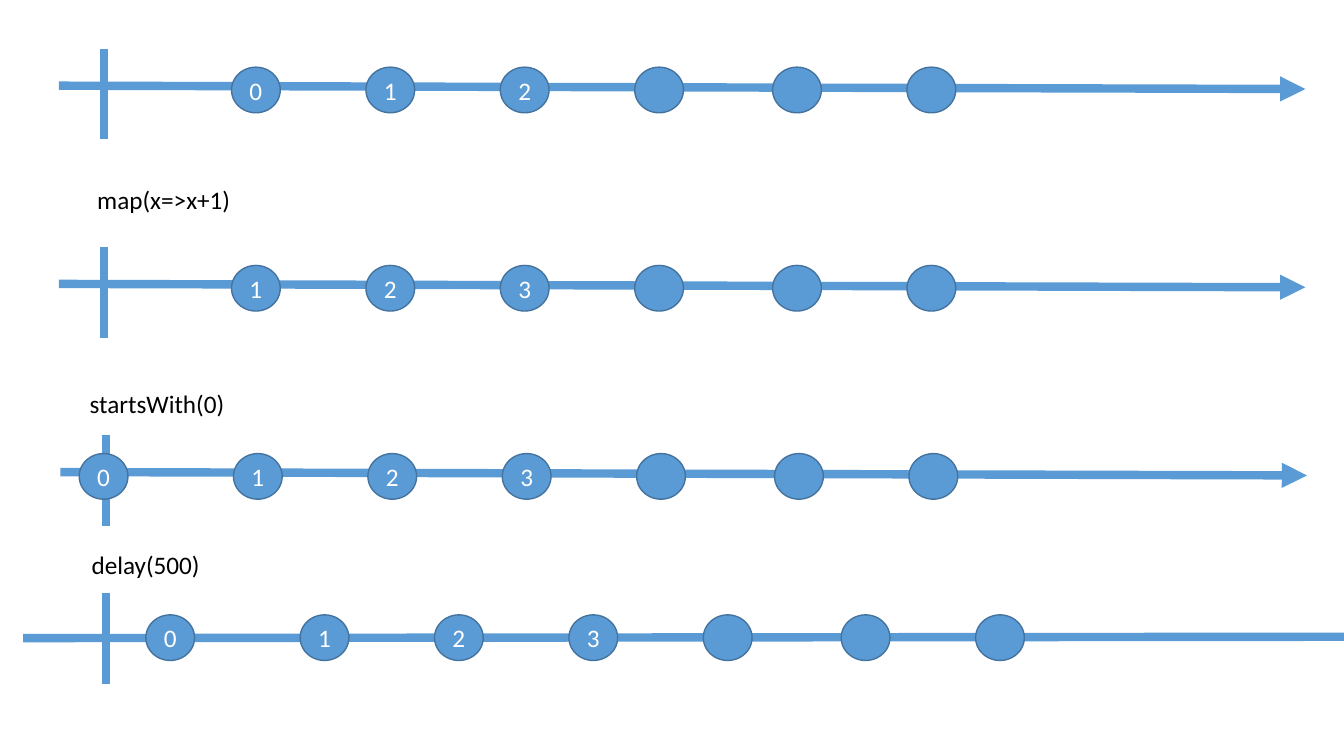
from dataclasses import dataclass

from lxml.etree import SubElement
from pptx import Presentation
from pptx.dml.color import RGBColor
from pptx.enum.shapes import MSO_CONNECTOR, MSO_SHAPE
from pptx.enum.text import MSO_ANCHOR, MSO_AUTO_SIZE, PP_ALIGN
from pptx.oxml.ns import qn
from pptx.shapes.connector import Connector
from pptx.slide import Slide
from pptx.text.text import TextFrame
from pptx.util import Pt


@dataclass(frozen=True)
class Theme:
    blue: RGBColor = RGBColor(0x5B, 0x9B, 0xD5)
    outline: RGBColor = RGBColor(0x43, 0x73, 0x9E)
    white: RGBColor = RGBColor(0xFF, 0xFF, 0xFF)
    black: RGBColor = RGBColor(0x00, 0x00, 0x00)
    font: str = "Calibri"
    text_size: float = 18
    axis_width: float = 6
    outline_width: float = 1


@dataclass(frozen=True)
class Operator:
    text: str
    left: float
    top: float
    width: float


@dataclass(frozen=True)
class Timeline:
    axis_start: tuple[float, float]
    axis_end: tuple[float, float]
    tick_x: float
    tick_top: float
    first_marble: float
    marble_top: float
    values: tuple[str, ...]
    operator: Operator | None = None
    initial_value: str = ""


THEME = Theme()
TICK_HEIGHT = 64.8
MARBLE_WIDTH, MARBLE_HEIGHT = 34.8, 32.6
LABEL_HEIGHT = 29
# Marble offsets from the first regular marble of a timeline
MARBLE_OFFSETS = (0, 96, 192, 288, 386.5, 482.5)
INITIAL_OFFSET = -110.2

TIMELINES = (
    Timeline((42, 61.2), (932.4, 63.6), 74.2, 34.8, 165.4, 48, ("0", "1", "2")),
    Timeline((42, 202.8), (932.4, 205.2), 74.2, 176.4, 165.4, 189.6, ("1", "2", "3"),
             Operator("map(x=>x+1)", 62.4, 128.4, 110.9)),
    Timeline((43.2, 337.2), (933.6, 339.6), 75.6, 310.8, 166.8, 324, ("1", "2", "3"),
             Operator("startsWith(0)", 56.9, 273.9, 111.6), "0"),
    Timeline((16.6, 455.8), (981.4, 454.8), 75.6, 423.6, 214.4, 439.2, ("1", "2", "3"),
             Operator("delay(500)", 58.3, 388.8, 92.9), "0"),
)


def write_text(frame: TextFrame, text: str, color: RGBColor, alignment: PP_ALIGN) -> None:
    paragraph = frame.paragraphs[0]
    paragraph.text = text
    paragraph.alignment = alignment
    paragraph.font.name = THEME.font
    paragraph.font.size = Pt(THEME.text_size)
    paragraph.font.color.rgb = color


def add_line(slide: Slide, start: tuple[float, float], end: tuple[float, float]) -> Connector:
    line = slide.shapes.add_connector(
        MSO_CONNECTOR.STRAIGHT, *(Pt(value) for value in (*start, *end)))
    line.line.color.rgb = THEME.blue
    line.line.width = Pt(THEME.axis_width)
    SubElement(line._element.spPr, qn("a:effectLst"))
    return line


def add_arrow(slide: Slide, start: tuple[float, float], end: tuple[float, float]) -> None:
    arrow = add_line(slide, start, end)
    SubElement(arrow.line._get_or_add_ln(), qn("a:tailEnd"), type="triangle")


def add_marble(slide: Slide, left: float, top: float, value: str) -> None:
    marble = slide.shapes.add_shape(
        MSO_SHAPE.OVAL, Pt(left), Pt(top), Pt(MARBLE_WIDTH), Pt(MARBLE_HEIGHT))
    marble.shadow.inherit = False
    marble.fill.solid()
    marble.fill.fore_color.rgb = THEME.blue
    marble.line.color.rgb = THEME.outline
    marble.line.width = Pt(THEME.outline_width)
    if value:
        marble.text_frame.vertical_anchor = MSO_ANCHOR.MIDDLE
        write_text(marble.text_frame, value, THEME.white, PP_ALIGN.CENTER)


def add_operator(slide: Slide, operator: Operator) -> None:
    label = slide.shapes.add_textbox(
        Pt(operator.left), Pt(operator.top), Pt(operator.width), Pt(LABEL_HEIGHT))
    label.text_frame.word_wrap = False
    label.text_frame.auto_size = MSO_AUTO_SIZE.SHAPE_TO_FIT_TEXT
    write_text(label.text_frame, operator.text, THEME.black, PP_ALIGN.LEFT)


def add_timeline(slide: Slide, timeline: Timeline) -> None:
    # Time axis and its origin
    add_arrow(slide, timeline.axis_start, timeline.axis_end)
    add_line(slide, (timeline.tick_x, timeline.tick_top),
             (timeline.tick_x, timeline.tick_top + TICK_HEIGHT))

    # Emitted values, followed by unlabelled marbles
    for index, offset in enumerate(MARBLE_OFFSETS):
        value = timeline.values[index] if index < len(timeline.values) else ""
        add_marble(slide, timeline.first_marble + offset, timeline.marble_top, value)
    if timeline.initial_value:
        add_marble(slide, timeline.first_marble + INITIAL_OFFSET,
                   timeline.marble_top, timeline.initial_value)

    # Operator that produces this timeline
    if timeline.operator:
        add_operator(slide, timeline.operator)


def main() -> None:
    presentation = Presentation()
    presentation.slide_width = Pt(960)
    presentation.slide_height = Pt(540)
    blank_layout = presentation.slide_layouts.get_by_name("Blank")
    slide = presentation.slides.add_slide(blank_layout)
    for timeline in TIMELINES:
        add_timeline(slide, timeline)
    presentation.save("out.pptx")


if __name__ == "__main__":
    main()
